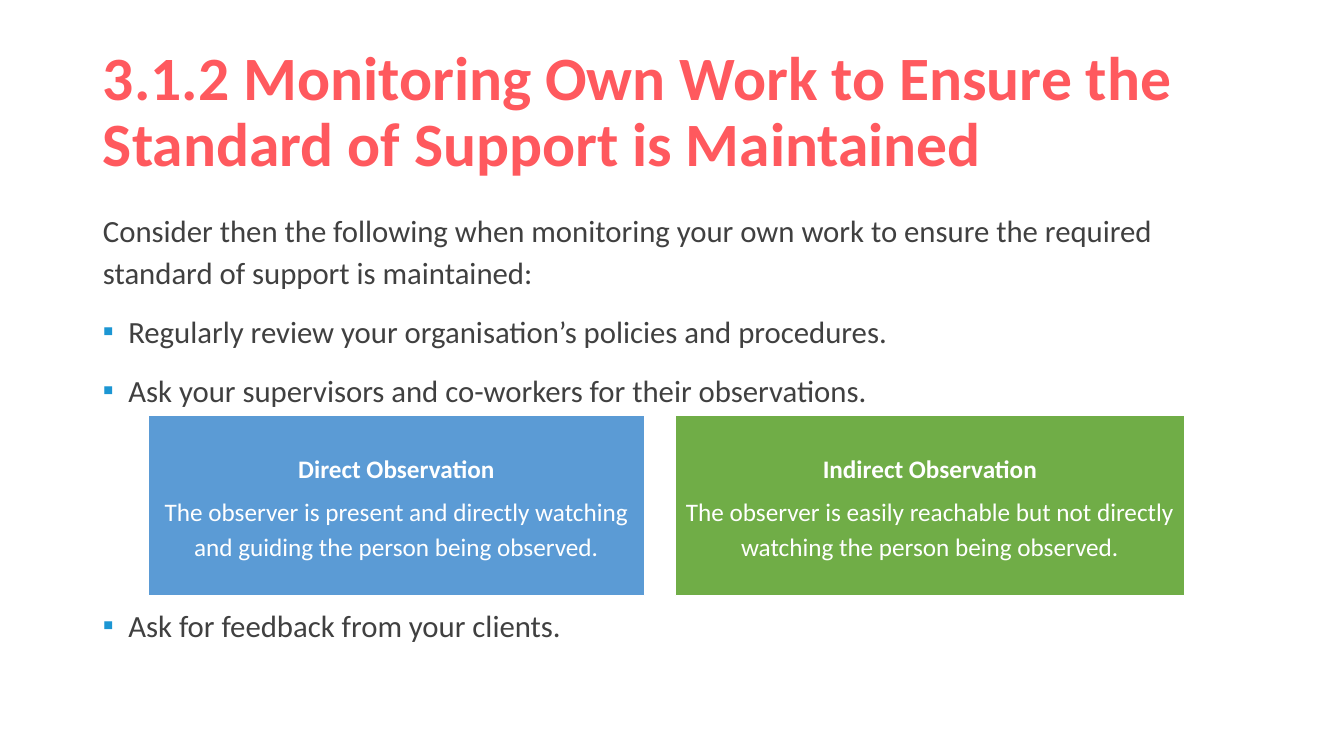
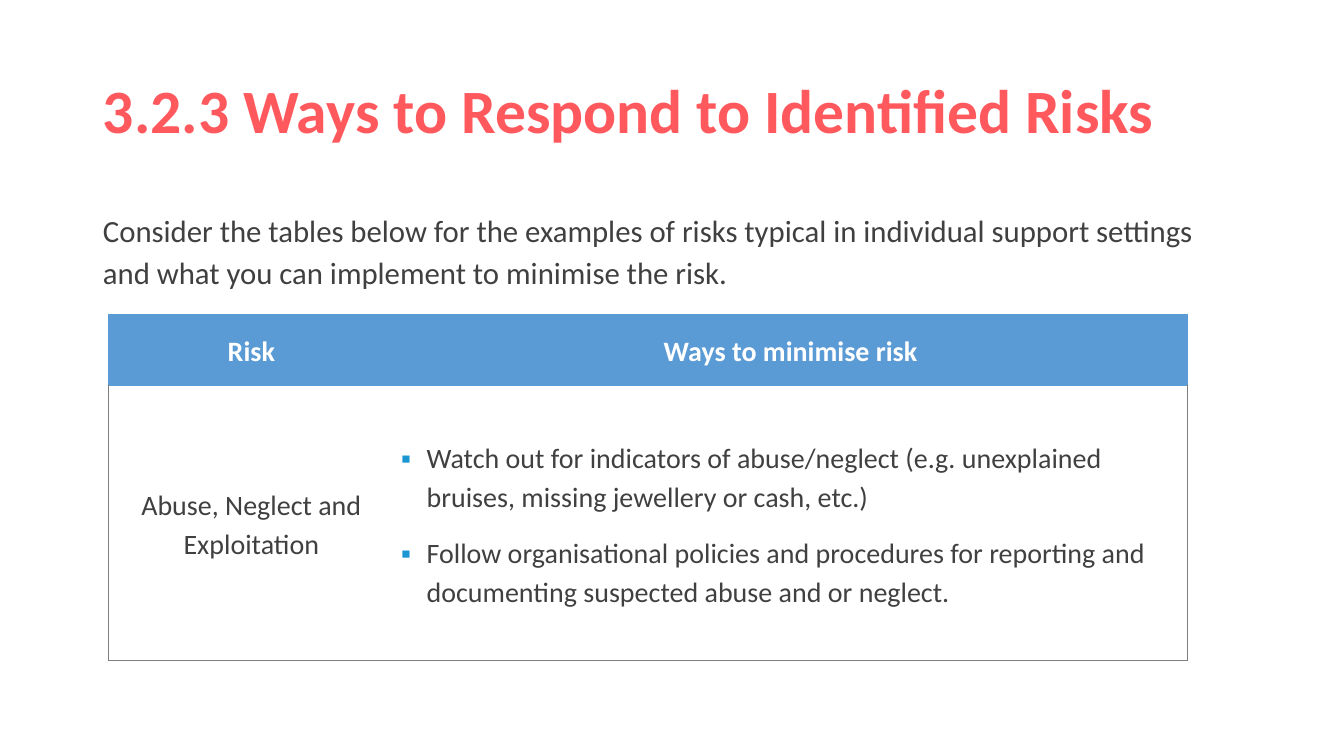
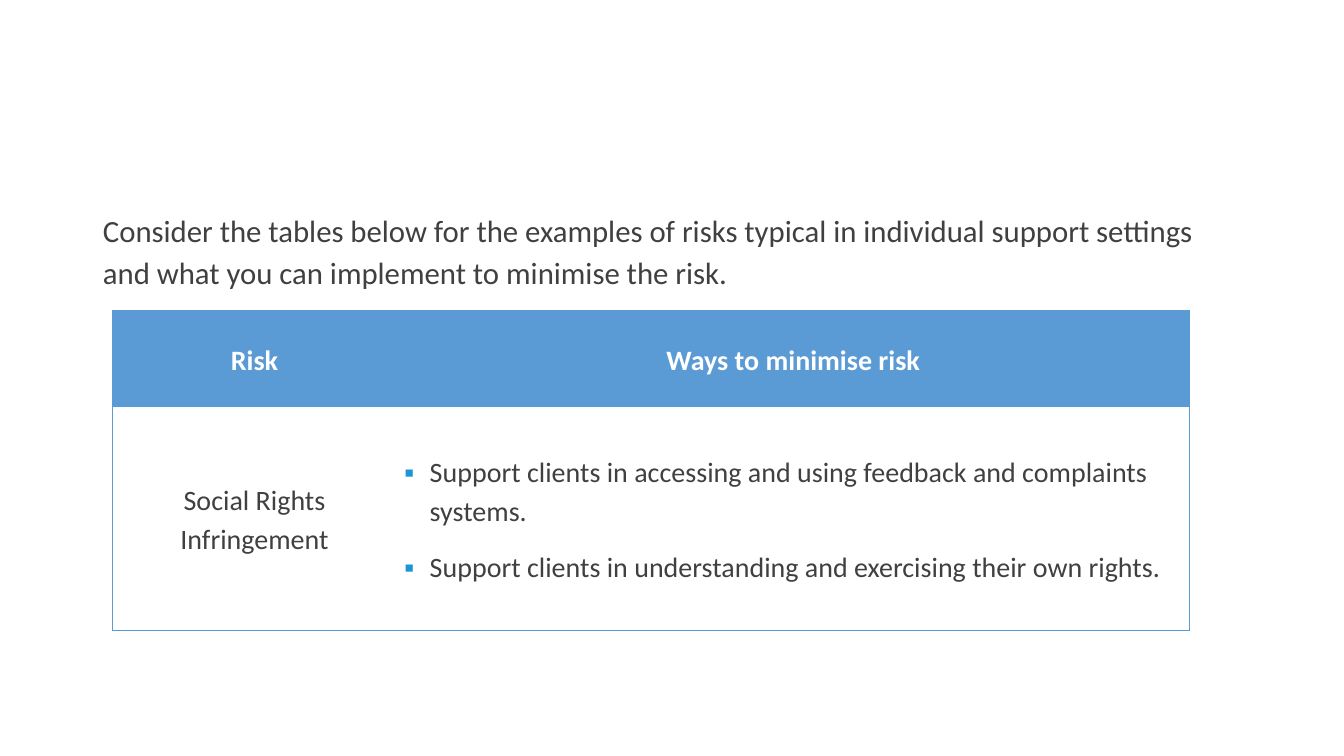
from dataclasses import dataclass

from lxml.etree import SubElement
from pptx import Presentation
from pptx.dml.color import RGBColor as RGB
from pptx.enum.shapes import MSO_SHAPE as Preset
from pptx.enum.text import MSO_ANCHOR as Anchor
from pptx.enum.text import MSO_AUTO_SIZE as AutoSize
from pptx.enum.text import PP_ALIGN as Align
from pptx.oxml.ns import qn
from pptx.util import Cm, Pt


@dataclass(frozen=True)
class Theme:
    font: str = "Calibri"
    title: str = "FF595E"
    text: str = "404040"
    white: str = "FFFFFF"
    blue: str = "5B9BD5"
    green: str = "70AD47"
    grey: str = "7F7F7F"
    bullet: str = "1C96D3"
    title_size: int = 44
    body_size: int = 22
    table_size: int = 20
    card_size: int = 18
    spacing: float = 1.14
    gap: int = 6
    indent: Cm = Cm(0.64)
    inset: Cm = Cm(0.18)


theme = Theme()


def write(frame, text, size=theme.body_size, color=theme.text, bold=False,
          align=Align.LEFT, spacing=theme.spacing, before=theme.gap,
          after=theme.gap, bullet=False):
    """Fill the frame's empty first paragraph, or add another one below."""
    first = not frame.text
    para = frame.paragraphs[0] if first else frame.add_paragraph()
    props = para._p.get_or_add_pPr()
    props.set("marL", str(theme.indent if bullet else 0))
    props.set("indent", str(-theme.indent if bullet else 0))
    if bullet:
        SubElement(SubElement(props, qn("a:buClr")), qn("a:srgbClr")).set("val", theme.bullet)
        SubElement(props, qn("a:buFont")).set("typeface", theme.font)
        SubElement(props, qn("a:buChar")).set("char", "▪")
    else:
        SubElement(props, qn("a:buNone"))
    para.alignment = align
    para.line_spacing = spacing
    para.space_before = Pt(0 if first else before)
    para.space_after = Pt(after)
    span = para.add_run()
    span.text = text
    span.font.name = theme.font
    span.font.size = Pt(size)
    span.font.bold = bold
    span.font.color.rgb = RGB.from_string(color)


def set_borders(cell, colors):
    """Colour the left, right, top and bottom edges; None hides an edge."""
    props = cell._tc.get_or_add_tcPr()
    for place, (side, color) in enumerate(zip("LRTB", colors)):
        line = SubElement(props, qn(f"a:ln{side}"), w=str(Pt(0.5)))
        if color:
            fill = SubElement(line, qn("a:solidFill"))
            SubElement(fill, qn("a:srgbClr")).set("val", color)
        else:
            SubElement(line, qn("a:noFill"))
        props.insert(place, line)


RISK_INTRO = ("Consider the tables below for the examples of risks typical in individual "
              "support settings and what you can implement to minimise the risk.")
pages = [
    {
        "title": "3.1.2 Monitoring Own Work to Ensure the Standard of Support is Maintained",
        "intro": "Consider then the following when monitoring your own work to ensure "
                 "the required standard of support is maintained:",
        # Each bullet with the space above it; the last one clears the cards.
        "bullets": [
            ("Regularly review your organisation’s policies and procedures.", theme.gap),
            ("Ask your supervisors and co-workers for their observations.", theme.gap),
            ("Ask for feedback from your clients.", 132),
        ],
        "cards": [
            ("Direct Observation",
             "The observer is present and directly watching and guiding the person being observed.",
             3.73, 12.52, theme.blue),
            ("Indirect Observation",
             "The observer is easily reachable but not directly watching the person being observed.",
             17.02, 12.83, theme.green),
        ],
    },
    {
        "title": "3.2.3 Ways to Respond to Identified Risks",
        "intro": RISK_INTRO,
        "table": {
            "corner": (2.74, 7.92), "columns": (7.19, 19.99), "rows": (1.8, 6.93),
            "border": theme.grey,
            "risk": "Abuse, Neglect and Exploitation",
            "ways": [
                "Watch out for indicators of abuse/neglect (e.g. unexplained bruises, "
                "missing jewellery or cash, etc.)",
                "Follow organisational policies and procedures for reporting and "
                "documenting suspected abuse and or neglect.",
            ],
        },
    },
    {
        "intro": RISK_INTRO,
        "table": {
            "corner": (2.82, 7.82), "columns": (7.19, 19.96), "rows": (2.41, 5.66),
            "border": theme.blue,
            "risk": "Social Rights Infringement",
            "ways": [
                "Support clients in accessing and using feedback and complaints systems.",
                "Support clients in understanding and exercising their own rights.",
            ],
        },
    },
]

deck = Presentation()
deck.slide_width, deck.slide_height = Cm(33.87), Cm(19.05)
layout = deck.slide_layouts.get_by_name("Title and Content")
for holder, top, height in zip(layout.placeholders, (1.02, 5.08), (3.68, 12.09)):
    holder.left, holder.width = Cm(2.34), Cm(28.02)
    holder.top, holder.height = Cm(top), Cm(height)

for page in pages:
    slide = deck.slides.add_slide(layout)
    title, body = slide.placeholders
    for holder in (title, body):
        holder.text_frame.auto_size = AutoSize.NONE

    if "title" in page:
        title.text_frame.vertical_anchor = Anchor.MIDDLE
        write(title.text_frame, page["title"], size=theme.title_size, color=theme.title,
              bold=True, spacing=0.9, after=0)
    else:
        title.element.getparent().remove(title.element)

    write(body.text_frame, page["intro"])
    for text, before in page.get("bullets", []):
        write(body.text_frame, text, bullet=True, before=before)

    for heading, text, left, width, color in page.get("cards", []):
        card = slide.shapes.add_shape(Preset.RECTANGLE, Cm(left), Cm(10.46), Cm(width), Cm(4.55))
        card.shadow.inherit = False
        card.fill.solid()
        card.fill.fore_color.rgb = RGB.from_string(color)
        card.line.color.rgb = RGB.from_string(theme.white)
        card.line.width = Pt(1)
        frame = card.text_frame
        frame.word_wrap = True
        frame.vertical_anchor = Anchor.MIDDLE
        frame.margin_left = frame.margin_right = theme.inset
        frame.margin_top = frame.margin_bottom = theme.inset
        for line, bold in ((heading, True), (text, False)):
            write(frame, line, size=theme.card_size, color=theme.white, bold=bold,
                  align=Align.CENTER, before=0)

    if "table" in page:
        data = page["table"]
        left, top = data["corner"]
        table = slide.shapes.add_table(
            2, 2, Cm(left), Cm(top), Cm(sum(data["columns"])), Cm(sum(data["rows"]))).table
        table.horz_banding = False
        for column, width in zip(table.columns, data["columns"]):
            column.width = Cm(width)
        for row, height in zip(table.rows, data["rows"]):
            row.height = Cm(height)

        for cell in table.iter_cells():
            cell.vertical_anchor = Anchor.MIDDLE
            cell.margin_left = cell.margin_right = theme.inset
            cell.margin_top = cell.margin_bottom = 0

        for column, heading in enumerate(("Risk", "Ways to minimise risk")):
            cell = table.cell(0, column)
            cell.fill.solid()
            cell.fill.fore_color.rgb = RGB.from_string(theme.blue)
            set_borders(cell, [theme.blue] * 4)
            write(cell.text_frame, heading, size=theme.table_size, color=theme.white,
                  bold=True, align=Align.CENTER)

        border = data["border"]
        risk, ways = table.cell(1, 0), table.cell(1, 1)
        risk.fill.background()
        ways.fill.background()
        set_borders(risk, (border, None, theme.blue, border))
        set_borders(ways, (None, border, theme.blue, border))
        write(risk.text_frame, data["risk"], size=theme.table_size, align=Align.CENTER)
        for way in data["ways"]:
            write(ways.text_frame, way, size=theme.table_size, bullet=True)

deck.save("out.pptx")
